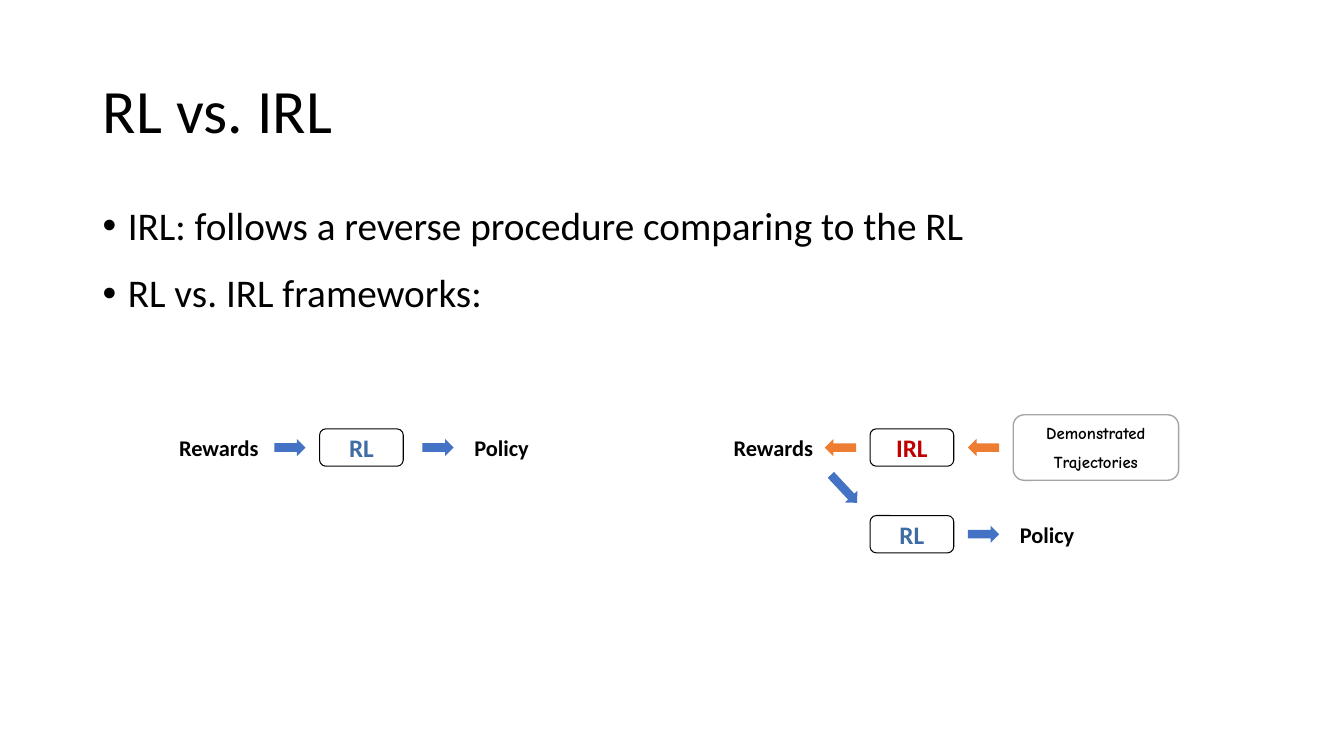
from lxml import etree
from pptx import Presentation
from pptx import util as u
from pptx.dml.color import RGBColor
from pptx.enum import shapes, text
from pptx.oxml.ns import qn

BLACK, WHITE, GREY = "000000", "FFFFFF", "A5A5A5"
BLUE, ORANGE, RL_BLUE, IRL_RED = "4472C4", "ED7D31", "3E6CA4", "C00000"


def color(value):
    """Turn a hex string into a colour."""
    return RGBColor.from_string(value)


def write(frame, content, size=16, font="Calibri", fill=BLACK, bold=True,
          align=text.PP_ALIGN.CENTER, anchor=text.MSO_ANCHOR.MIDDLE,
          before=0, after=0, line_spacing=1.0, bullet=None):
    """Fill a text frame, one paragraph for each line of content."""
    frame.word_wrap = True
    frame.auto_size = text.MSO_AUTO_SIZE.NONE
    frame.vertical_anchor = anchor
    for index, line in enumerate(content.split("\n")):
        paragraph = frame.add_paragraph() if index else frame.paragraphs[0]
        paragraph.alignment = align
        paragraph.space_before = u.Pt(before)
        paragraph.space_after = u.Pt(after)
        paragraph.line_spacing = line_spacing
        run = paragraph.add_run()
        run.text = line
        run.font.name = font
        run.font.size = u.Pt(size)
        run.font.bold = bold
        run.font.color.rgb = color(fill)
        if bullet:
            properties = paragraph._p.get_or_add_pPr()
            properties.set("marL", str(u.Inches(0.25)))
            properties.set("indent", str(-u.Inches(0.25)))
            etree.SubElement(properties, qn("a:buFont"), typeface="Arial")
            etree.SubElement(properties, qn("a:buChar"), char=bullet)


class FrameworkSlide:
    """Hold the slide and its style, and draw its elements."""

    arrow_height = 0.17
    label_height = 0.37

    def __init__(self, presentation):
        self.slide = presentation.slides.add_slide(presentation.slide_layouts[5])

    def title(self, content, left, top, width, height):
        """Place and format the title."""
        title = self.slide.shapes.title
        title.left, title.top = u.Inches(left), u.Inches(top)
        title.width, title.height = u.Inches(width), u.Inches(height)
        write(title.text_frame, content, size=44, bold=False,
              align=text.PP_ALIGN.LEFT, line_spacing=0.9)

    def text_box(self, content, left, top, width, height, **style):
        """Add a text box."""
        box = self.slide.shapes.add_textbox(
            u.Inches(left), u.Inches(top), u.Inches(width), u.Inches(height))
        write(box.text_frame, content, **style)

    def label(self, content, left, middle, width):
        """Add a bold label centred on a row."""
        self.text_box(content, left, middle - self.label_height / 2, width, self.label_height)

    def shape(self, kind, left, middle, width, height):
        """Add a shape without shadow, centred on a row."""
        shape = self.slide.shapes.add_shape(
            kind, u.Inches(left), u.Inches(middle - height / 2),
            u.Inches(width), u.Inches(height))
        shape.shadow.inherit = False
        return shape

    def box(self, content, left, middle, width=0.83, height=0.37,
            line=BLACK, weight=0.75, size=18, **style):
        """Add a rounded box with its text."""
        box = self.shape(shapes.MSO_SHAPE.ROUNDED_RECTANGLE, left, middle, width, height)
        box.fill.solid()
        box.fill.fore_color.rgb = color(WHITE)
        box.line.color.rgb = color(line)
        box.line.width = u.Pt(weight)
        frame = box.text_frame
        frame.margin_top = frame.margin_bottom = 0
        write(frame, content, size=size, **style)

    def arrow(self, left, middle, width=0.31, fill=BLUE, rotation=0):
        """Add a block arrow."""
        arrow = self.shape(shapes.MSO_SHAPE.RIGHT_ARROW, left, middle, width, self.arrow_height)
        arrow.rotation = rotation
        arrow.fill.solid()
        arrow.fill.fore_color.rgb = color(fill)
        arrow.line.fill.background()


def main():
    """Build and save the slide."""
    presentation = Presentation()
    presentation.slide_width = u.Inches(13.33)
    presentation.slide_height = u.Inches(7.5)
    page = FrameworkSlide(presentation)

    page.title("RL vs. IRL", 0.92, 0.4, 11.5, 1.45)
    page.text_box("IRL: follows a reverse procedure comparing to the RL\nRL vs. IRL frameworks:",
                  0.92, 2, 11.5, 4.76, size=28, bold=False, align=text.PP_ALIGN.LEFT,
                  anchor=text.MSO_ANCHOR.TOP, before=18, line_spacing=0.9, bullet="•")

    upper, lower = 4.44, 5.3

    page.label("Rewards", 1.65, upper, 1.04)
    page.arrow(2.72, upper)
    page.box("RL", 3.17, upper, fill=RL_BLUE)
    page.arrow(4.19, upper)
    page.label("Policy", 4.53, upper, 0.89)

    page.label("Rewards", 7.17, upper, 1)
    page.box("IRL", 8.63, upper, fill=IRL_RED)
    for left in (8.18, 9.6):
        page.arrow(left, upper, fill=ORANGE, rotation=180)
    page.box("Demonstrated\nTrajectories", 10.05, upper, width=1.64, height=0.65,
             line=GREY, weight=1, size=12, font="Comic Neue", before=3, after=3)

    page.arrow(8.18, 4.85, width=0.38, rotation=46.9)
    page.box("RL", 8.63, lower, fill=RL_BLUE)
    page.arrow(9.6, lower)
    page.label("Policy", 9.94, lower, 0.89)

    presentation.save("out.pptx")


if __name__ == "__main__":
    main()
